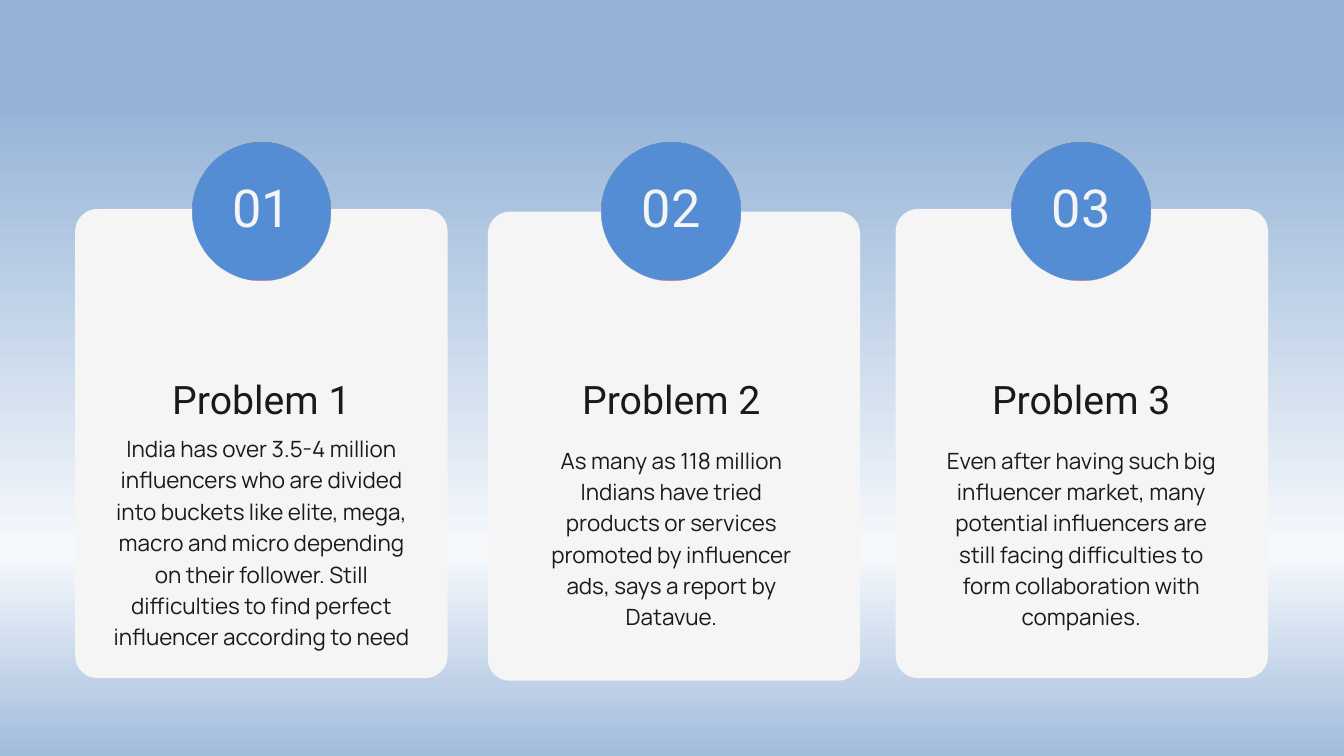
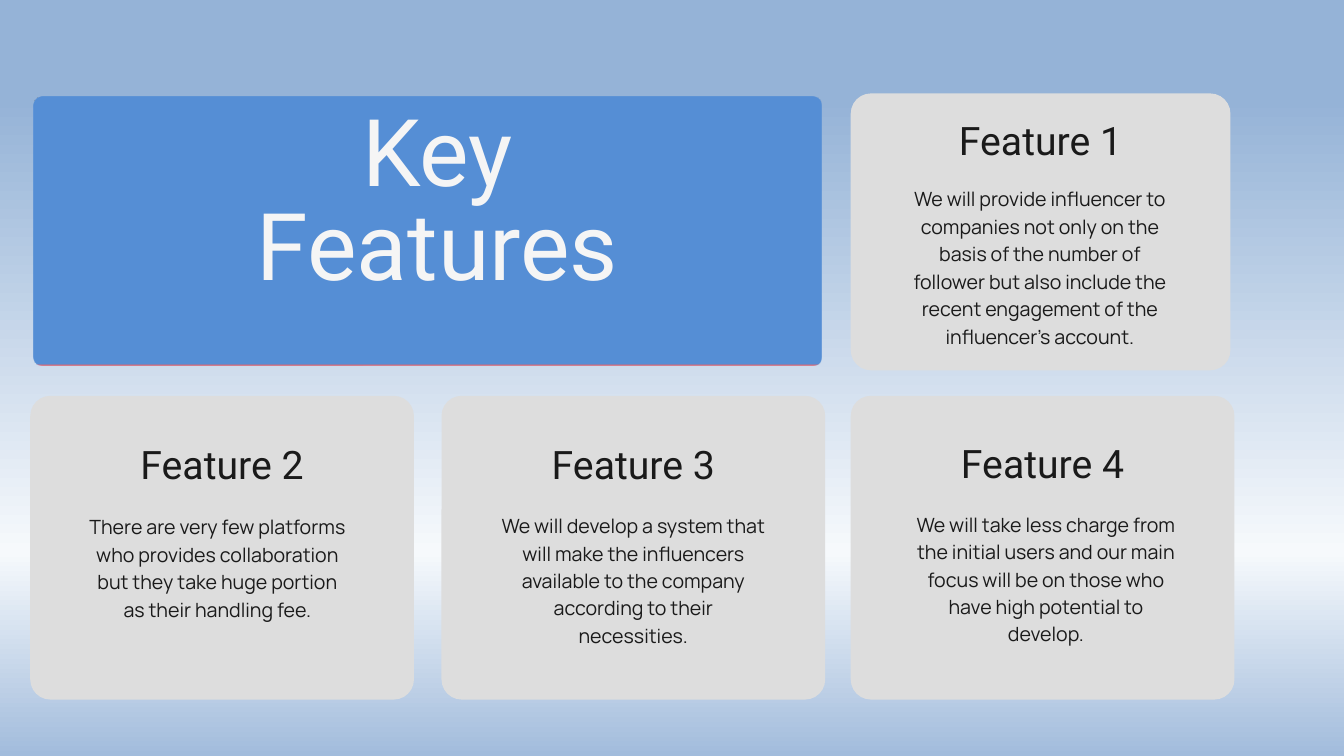
from dataclasses import dataclass

from lxml import etree
from pptx import Presentation
from pptx import util as u
from pptx.dml import color
from pptx.enum import shapes, text
from pptx.oxml import ns


@dataclass(frozen=True)
class Theme:
    heading_font: str = "Roboto"
    body_font: str = "Manrope"
    ink: str = "1A1A1A"
    light: str = "F5F5F5"
    grey: str = "DDDDDD"
    # Gradient stops: position %, colour, opacity %
    accent: tuple = ((99, "558ED5", 100), (100, "FF2929", 54))
    backdrop: tuple = ((13, "95B3D7", 100), (73, "F6F9FC", 22),
                       (100, "A2BCDC", 100), (100, "AEC5E1", 100),
                       (100, "C6D6EA", 100))
    # Type styles: size, line spacing in points
    title: tuple = (100, 100)
    number: tuple = (56, 67.2)
    heading: tuple = (42, 50.4)
    problem_body: tuple = (24, 33.6)
    feature_body: tuple = (21, 29.4)


THEME = Theme()
TITLE_ONLY, BLANK = 5, 6
HEADING_HEIGHT = 0.76


def fill_gradient(fill, stops):
    """Fill from top to bottom with any number of stops."""
    fill.gradient()
    fill.gradient_angle = 270
    stop_list = fill.gradient_stops[0]._gs.getparent()
    for old in list(stop_list):
        stop_list.remove(old)
    for position, rgb, opacity in stops:
        stop = etree.SubElement(stop_list, ns.qn("a:gs"), pos=str(position * 1000))
        tone = etree.SubElement(stop, ns.qn("a:srgbClr"), val=rgb)
        if opacity < 100:
            etree.SubElement(tone, ns.qn("a:alpha"), val=str(opacity * 1000))


class Deck:
    def __init__(self, theme):
        self.theme = theme
        self.prs = Presentation()
        self.prs.slide_width = u.Inches(20)
        self.prs.slide_height = u.Inches(11.25)
        fill_gradient(self.prs.slide_master.background.fill, theme.backdrop)
        self.slide = None

    def new_slide(self, layout):
        self.slide = self.prs.slides.add_slide(self.prs.slide_layouts[layout])

    def block(self, box, fill, radius=None):
        """Rounded rectangle, or an ellipse when there is no radius."""
        preset = (shapes.MSO_SHAPE.OVAL if radius is None
                  else shapes.MSO_SHAPE.ROUNDED_RECTANGLE)
        block = self.slide.shapes.add_shape(preset, *map(u.Inches, box))
        if radius is not None:
            block.adjustments[0] = radius / min(box[2:])
        block.shadow.inherit = False
        block.line.fill.background()
        if isinstance(fill, str):
            block.fill.solid()
            block.fill.fore_color.rgb = color.RGBColor.from_string(fill)
        else:
            fill_gradient(block.fill, fill)

    def set_words(self, frame, words, style, font, rgb):
        frame.text = words
        frame.word_wrap = True
        frame.auto_size = text.MSO_AUTO_SIZE.SHAPE_TO_FIT_TEXT
        frame.vertical_anchor = text.MSO_ANCHOR.TOP
        frame.margin_left = frame.margin_right = 0
        frame.margin_top = frame.margin_bottom = 0
        size, spacing = style
        for paragraph in frame.paragraphs:
            paragraph.alignment = text.PP_ALIGN.CENTER
            paragraph.line_spacing = u.Pt(spacing)
            for run in paragraph.runs:
                run.font.size = u.Pt(size)
                run.font.name = font
                run.font.color.rgb = color.RGBColor.from_string(rgb)

    def title(self, box, words):
        title = self.slide.shapes.title
        title.left, title.top, title.width, title.height = map(u.Inches, box)
        self.set_words(title.text_frame, words, self.theme.title,
                       self.theme.heading_font, self.theme.light)
        # Bring the title in front of the panel already drawn
        title._element.getparent().append(title._element)

    def label(self, box, words, style, font, rgb):
        frame = self.slide.shapes.add_textbox(*map(u.Inches, box)).text_frame
        self.set_words(frame, words, style, font, rgb)

    def heading(self, box, words):
        self.label(box, words, self.theme.heading, self.theme.heading_font,
                   self.theme.ink)

    def body(self, box, words, style):
        self.label(box, words, style, self.theme.body_font, self.theme.ink)

    def number(self, box, words):
        self.label(box, words, self.theme.number, self.theme.heading_font,
                   self.theme.light)


def problems_slide(deck):
    # Card left and top, body top, width and height, body text
    problems = (
        (1.12, 3.11, 6.41, 4.64, 3.81,
         "India has over 3.5-4 million influencers who are divided into buckets "
         "like elite, mega, macro and micro depending on their follower. Still "
         "difficulties to find perfect influencer according to need"),
        (7.26, 3.15, 6.58, 4, 2.84,
         "As many as 118 million Indians have tried products or services "
         "promoted by influencer ads, says a report by Datavue."),
        (13.33, 3.11, 6.58, 4, 3.31,
         "Even after having such big influencer market, many potential "
         "influencers are still facing difficulties to form collaboration "
         "with companies."),
    )
    first_centre, step = 3.89, 6.1
    badge, heading_width, number_width = 2.06, 4.87, 1.69

    deck.new_slide(BLANK)
    for i, (left, top, body_top, body_width, body_height, words) in enumerate(problems):
        centre = first_centre + i * step
        deck.block((left, top, 5.54, 6.98), deck.theme.light, radius=0.33)
        deck.block((centre - badge / 2, 2.12, badge, badge), deck.theme.accent)
        deck.heading((centre - heading_width / 2, 5.58, heading_width, HEADING_HEIGHT),
                     f"Problem {i + 1}")
        deck.body((centre - body_width / 2, body_top, body_width, body_height),
                  words, deck.theme.problem_body)
        deck.number((centre - number_width / 2, 2.61, number_width, 1), f"{i + 1:02}")


def features_slide(deck):
    # Card box, heading top, body left, top and height, body text
    features = (
        ((12.66, 1.39, 5.65, 4.12), 1.73, 13.51, 2.73, 2.42,
         "We will provide influencer to companies not only on the basis of the "
         "number of follower but also include the recent engagement of the "
         "influencer’s account."),
        ((0.45, 5.89, 5.71, 4.52), 6.55, 1.27, 7.61, 2.01,
         "There are very few platforms who provides collaboration but they take "
         "huge portion as their handling fee."),
        ((6.57, 5.89, 5.71, 4.52), 6.55, 7.46, 7.59, 2.01,
         "We will develop a system that will make the influencers available to "
         "the company according to their necessities."),
        ((12.66, 5.89, 5.71, 4.52), 6.54, 13.6, 7.57, 2.01,
         "We will take less charge from the initial users and our main focus "
         "will be on those who have high potential to develop."),
    )
    heading_width = 5.28

    deck.new_slide(TITLE_ONLY)
    deck.block((0.5, 1.44, 11.73, 4), deck.theme.accent, radius=0.14)
    deck.title((0.98, 1.67, 11.06, 2.87), "Key\nFeatures")
    for i, (card, heading_top, left, top, height, words) in enumerate(features, 1):
        deck.block(card, deck.theme.grey, radius=0.3)
        heading_left = card[0] + (card[2] - heading_width) / 2
        deck.heading((heading_left, heading_top, heading_width, HEADING_HEIGHT),
                     f"Feature {i}")
        deck.body((left, top, 3.93, height), words, deck.theme.feature_body)


def main():
    deck = Deck(THEME)
    problems_slide(deck)
    features_slide(deck)
    deck.prs.save("out.pptx")


if __name__ == "__main__":
    main()
